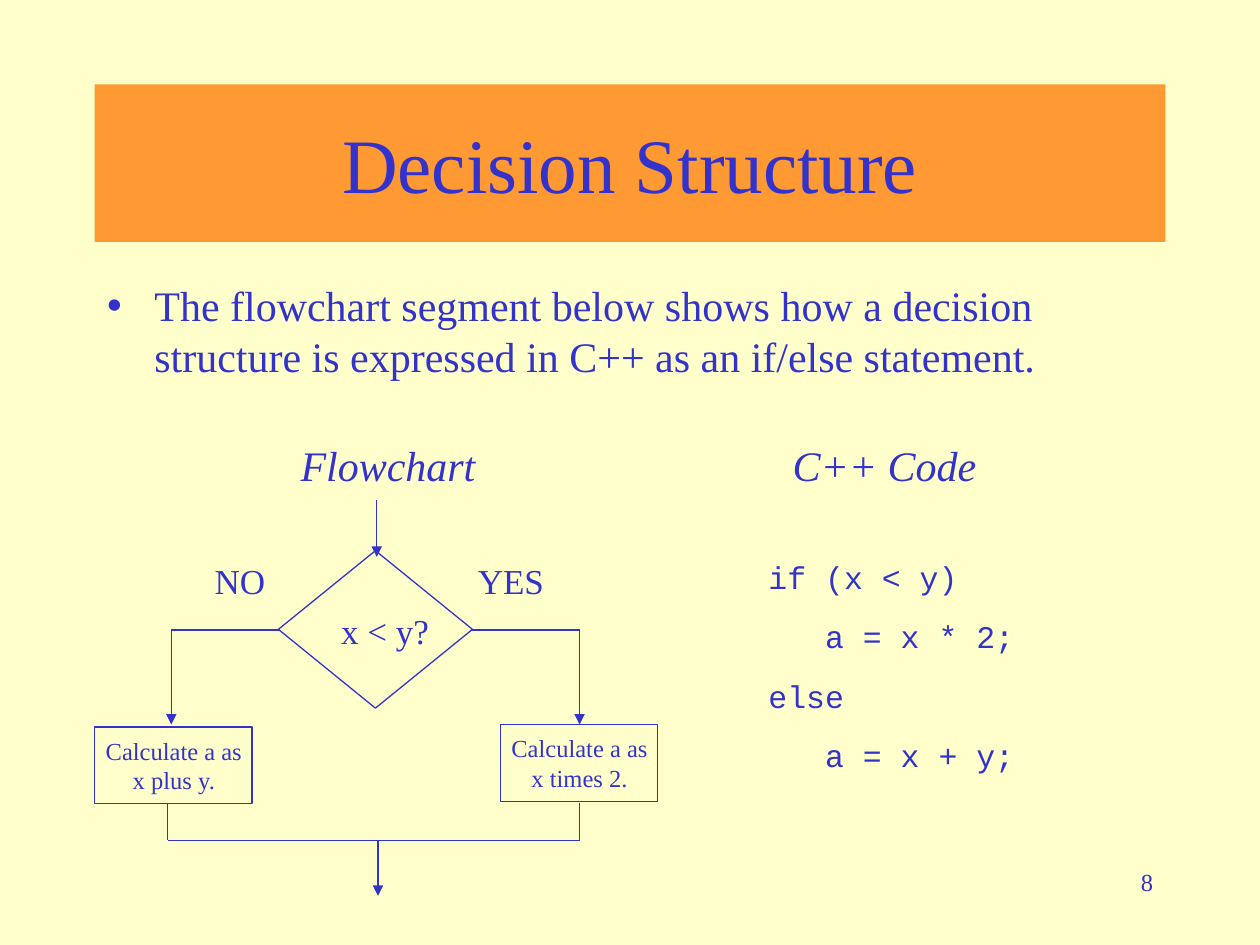
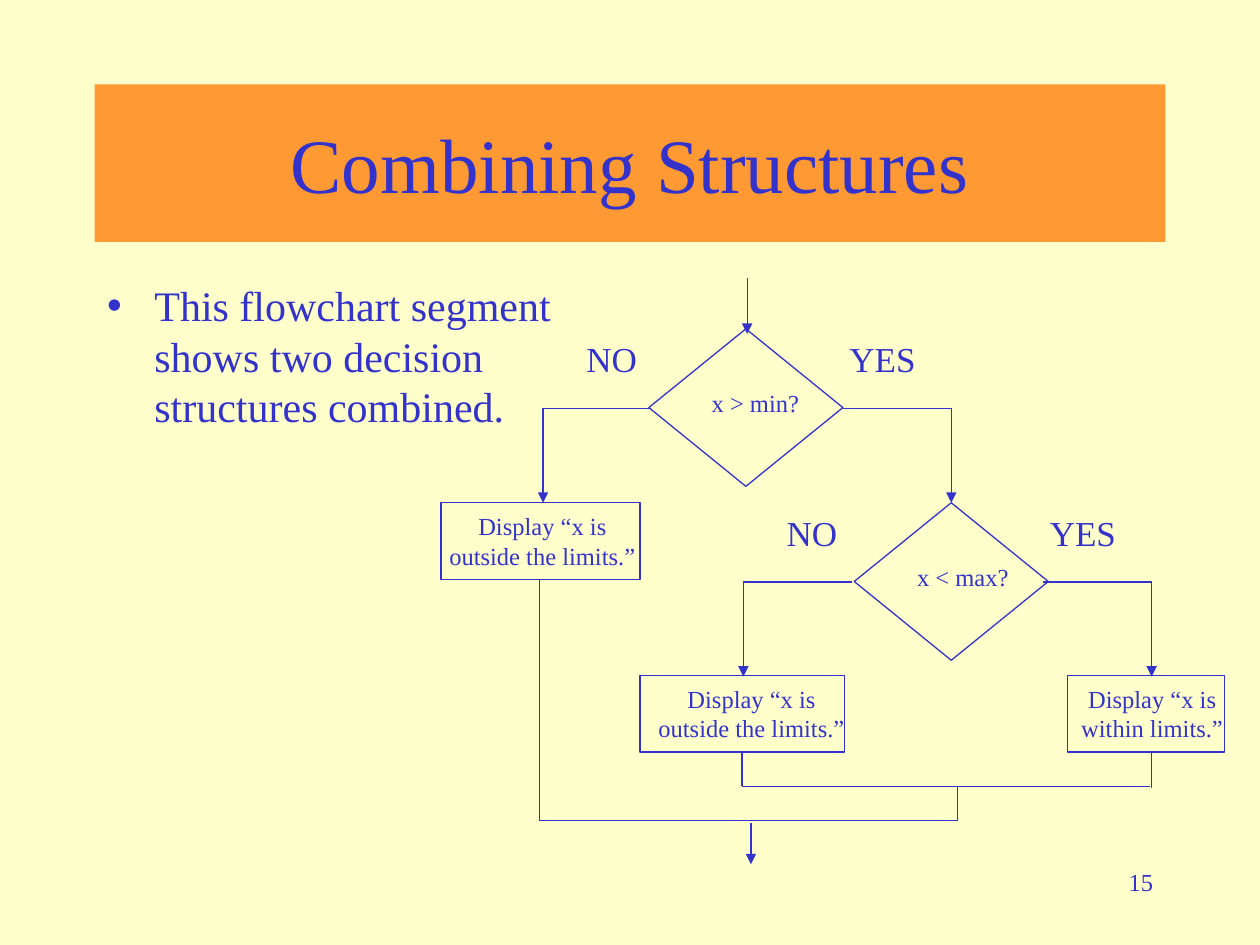
"""Build two slides on decision structures, with flowcharts and code."""
from lxml.etree import SubElement
from pptx import Presentation
from pptx.dml.color import RGBColor
from pptx.enum.shapes import MSO_CONNECTOR as LINK, MSO_SHAPE as SHAPE
from pptx.enum.text import MSO_ANCHOR as ANCHOR, MSO_AUTO_SIZE as FIT, PP_ALIGN as ALIGN
from pptx.oxml.ns import qn
from pptx.util import Inches, Pt

BLUE = RGBColor(0x33, 0x33, 0xCC)
ORANGE = RGBColor(0xFF, 0x99, 0x33)
CREAM = RGBColor(0xFF, 0xFF, 0xCC)
SERIF = "Times New Roman"
MONO = "Courier New"


def write(slide, text, x, y, w, h, size, align=ALIGN.CENTER, face=SERIF, slant=False):
    frame = slide.shapes.add_textbox(Inches(x), Inches(y), Inches(w), Inches(h)).text_frame
    frame.word_wrap = True
    frame.text = text
    for i, para in enumerate(frame.paragraphs):
        para.alignment = align
        para.space_before = Pt(12.4 if i else 0)
        font = para.font
        font.name, font.size, font.italic = face, Pt(size), slant
        font.color.rgb = BLUE


def link(slide, x1, y1, x2, y2, arrow=False):
    line = slide.shapes.add_connector(
        LINK.STRAIGHT, Inches(x1), Inches(y1), Inches(x2), Inches(y2))
    line.line.color.rgb = BLUE
    line.line.width = Pt(0.75)
    props = line._element.spPr
    if arrow:
        SubElement(props.find(qn("a:ln")), qn("a:tailEnd"), type="triangle")
    SubElement(props, qn("a:effectLst"))


pages = [
    dict(
        title="Decision Structure", num="8",
        body="The flowchart segment below shows how a decision structure "
             "is expressed in C++ as an if/else statement.",
        tests=[(2.21, 4.37, 1.36, "x < y?", 20)],
        boxes=[(0.75, 5.77, 1.25, 0.74, 1.28, "Calculate a as x plus y."),
               (3.97, 5.75, 1.25, 3.96, 1.28, "Calculate a as x times 2.")],
        lines=[(1.33, 6.37, 1.33, 6.67), (4.6, 6.37, 4.6, 6.67), (4.6, 6.67, 1.33, 6.67)],
        arrows=[(2.99, 3.97, 2.99, 4.42), (3, 6.67, 3, 7.11)],
    ),
    dict(
        title="Combining Structures", num="15",
        body="This flowchart segment\nshows two decision\nstructures combined.",
        tests=[(5.15, 2.61, 4.31, "x > min?", 14), (6.78, 3.99, 5.9, "x < max?", 14)],
        boxes=[(3.5, 3.99, 1.58, 3.4, 1.81, "Display “x is outside the limits.”"),
               (5.08, 5.36, 1.62, 5.06, 1.81, "Display “x is outside the limits.”"),
               (8.47, 5.36, 1.25, 8.46, 1.37, "Display “x is within limits.”")],
        lines=[(4.28, 4.6, 4.28, 6.51), (4.28, 6.51, 7.6, 6.51), (7.6, 6.51, 7.6, 6.24),
               (5.89, 5.97, 5.89, 6.24), (9.13, 6.24, 5.89, 6.24), (9.14, 5.96, 9.14, 6.25)],
        arrows=[(5.93, 2.21, 5.93, 2.65), (5.96, 6.53, 5.96, 6.86)],
    ),
]

prs = Presentation()
prs.slide_width, prs.slide_height = Inches(10), Inches(7.5)
back = prs.slide_master.background.fill
back.solid()
back.fore_color.rgb = CREAM

for page in pages:
    slide = prs.slides.add_slide(prs.slide_layouts[1])
    title, body = slide.placeholders
    title.fill.solid()
    title.fill.fore_color.rgb = ORANGE
    for holder, key, top, high, size, align, anchor in (
            (title, "title", 0.67, 1.25, 44, ALIGN.CENTER, ANCHOR.MIDDLE),
            (body, "body", 2.17, 4.5, 24, ALIGN.LEFT, ANCHOR.TOP)):
        holder.left, holder.top = Inches(0.75), Inches(top)
        holder.width, holder.height = Inches(8.5), Inches(high)
        frame = holder.text_frame
        frame.auto_size = FIT.NONE
        frame.vertical_anchor = anchor
        para = frame.paragraphs[0]
        para.text = page[key]
        para.alignment = align
        para.space_before = Pt(0)
        para.font.name, para.font.size = SERIF, Pt(size)
        para.font.color.rgb = BLUE
    write(slide, page["num"], 7.17, 6.83, 2.08, 0.5, 14, ALIGN.RIGHT)

    forms = [(SHAPE.FLOWCHART_DECISION, x, y, 1.54, 1.25) for x, y, *_ in page["tests"]]
    forms += [(SHAPE.RECTANGLE, x, y, w, 0.61) for x, y, w, *_ in page["boxes"]]
    for kind, *place in forms:
        form = slide.shapes.add_shape(kind, *map(Inches, place))
        form.shadow.inherit = False
        form.fill.background()
        form.line.color.rgb = BLUE
        form.line.width = Pt(0.75)

    for x, y, arm, text, size in page["tests"]:
        mid = y + 0.63
        for label, shift, near, far in (("NO", 0.13, 0.86, 0), ("YES", 2.28, 2.38, 3.24)):
            write(slide, label, arm + shift, y + 0.02, 0.83, 0.44, 20)
            link(slide, arm + near, mid, arm + far, mid)
            link(slide, arm + far, mid, arm + far, mid + 0.75, True)
        write(slide, text, x + 0.4, y + 0.42, 0.94, 0.44 if size == 20 else 0.34,
              size, ALIGN.LEFT)
    for _, y, _, left, wide, text in page["boxes"]:
        write(slide, text, left, y + 0.02, wide, 0.57, 14)
    for ends in page["lines"]:
        link(slide, *ends)
    for ends in page["arrows"]:
        link(slide, *ends, True)

first = prs.slides[0]
for head, x in (("Flowchart", 2.21), ("C++ Code", 6.15)):
    write(first, head, x, 3.44, 1.74, 0.5, 24, slant=True)
code = """if (x < y)
   a = x * 2;
else
   a = x + y;"""
write(first, code, 6, 4.38, 3.21, 1.77, 18, ALIGN.LEFT, MONO)

prs.save("out.pptx")
